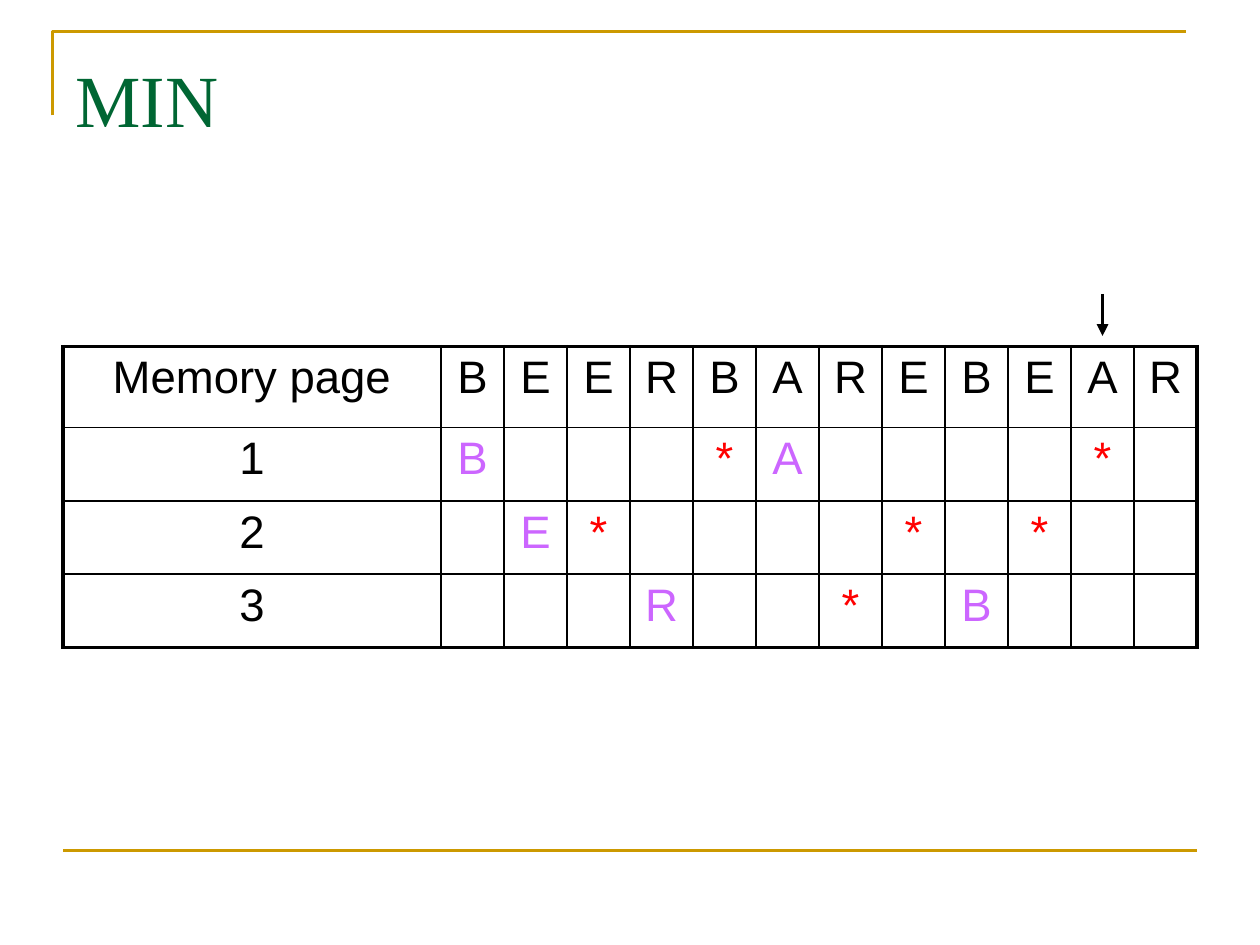
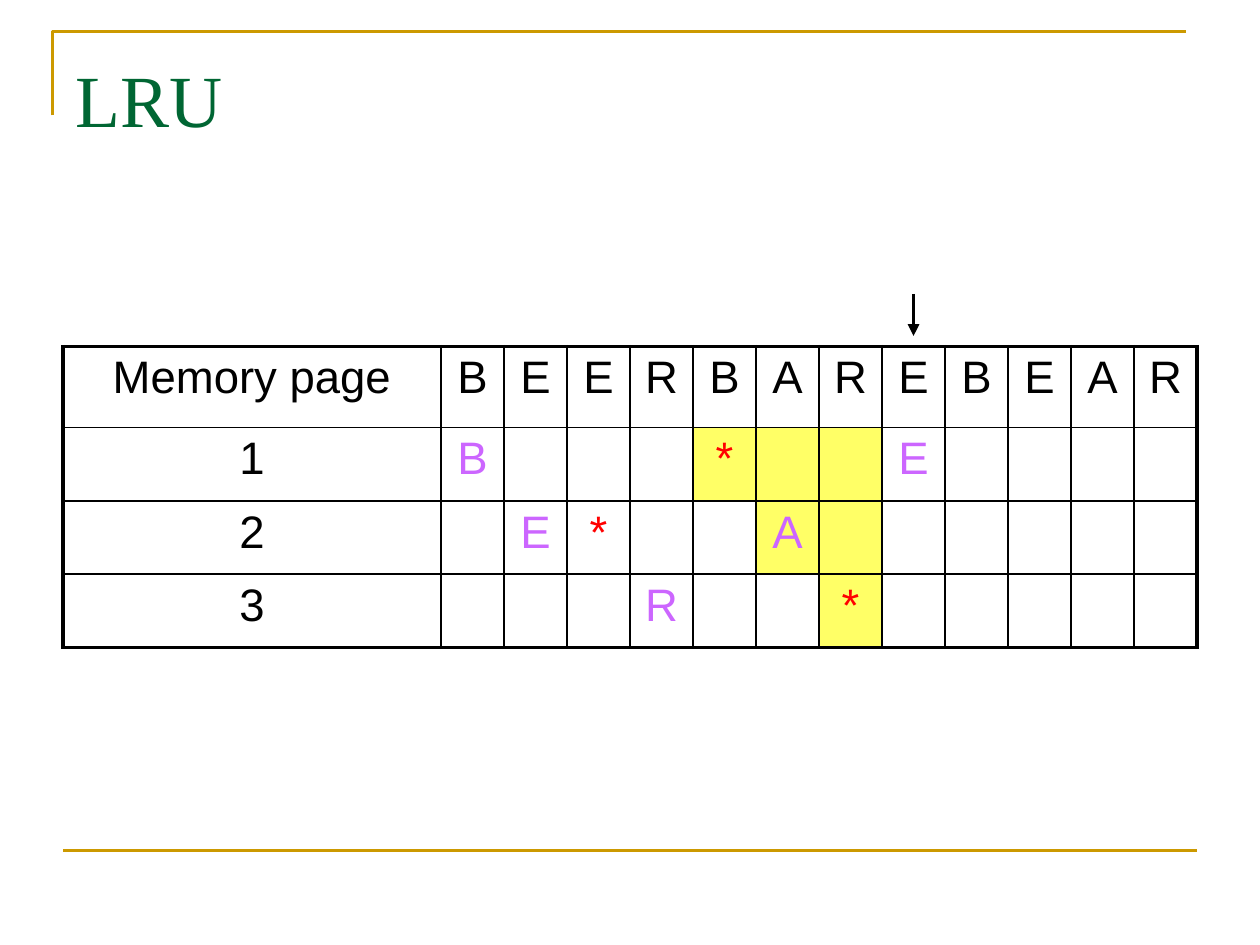
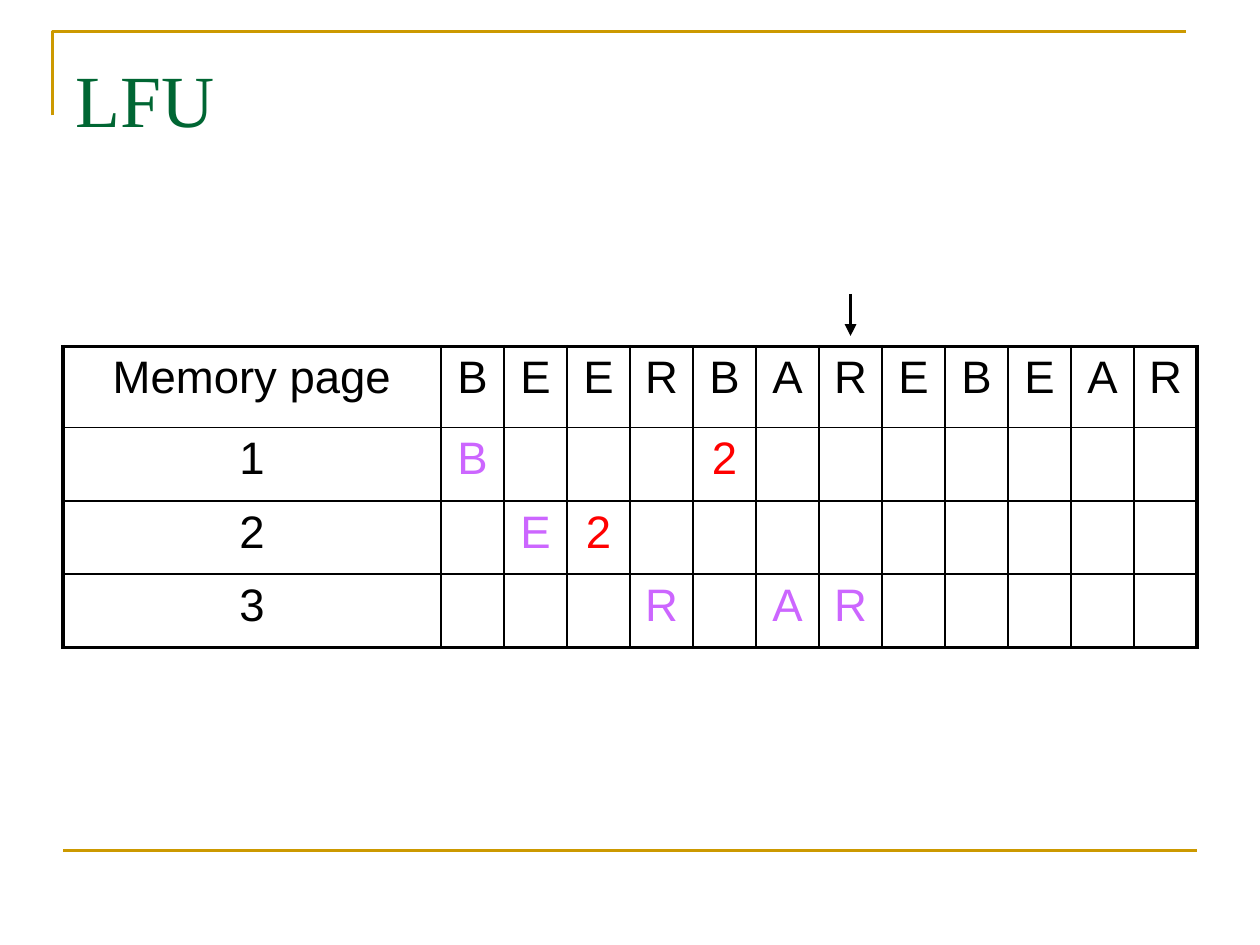
from dataclasses import dataclass
from itertools import product

from lxml.etree import SubElement
from pptx import Presentation
from pptx.dml.color import RGBColor
from pptx.enum.shapes import MSO_CONNECTOR
from pptx.enum.text import MSO_ANCHOR, MSO_AUTO_SIZE, PP_ALIGN
from pptx.oxml.ns import qn
from pptx.util import Pt

PX = 7620
SLIDE_SIZE = (1200, 900)
TITLE_BOX = (60, 36, 1080, 150)
TABLE_BOX = (60, 330, 1080, 287)
CORNER_BOX = (50, 30, 1080, 80)
FOOTER_RULE = (60, 810, 1140, 810)
LABEL_WIDTH, STEP_WIDTH = 360, 60
HEADER_HEIGHT, PAGE_HEIGHT = 77, 70
ARROW_LENGTH, ARROW_GAP = 40, 10
TITLE_ONLY_LAYOUT = 5
REFERENCES = "BEERBAREBEAR"


@dataclass(frozen=True)
class Theme:
    """Colours, fonts and sizes of the deck."""

    title_color: str = "006633"
    rule_color: str = "CC9900"
    ink: str = "000000"
    paper: str = "FFFFFF"
    loaded: str = "CC66FF"
    hit: str = "FF0000"
    highlight: str = "FFFF66"
    title_font: str = "Times New Roman"
    body_font: str = "Arial"
    title_size: float = 42
    body_size: float = 26
    rule_width: float = 1.5
    grid_width: float = 1
    frame_width: float = 2.25


@dataclass(frozen=True)
class Policy:
    """One replacement policy: page rows, current step and marked steps by page."""

    name: str
    pages: tuple
    step: int
    marked: dict


THEME = Theme()
POLICIES = (
    Policy("MIN", ("B   *A    * ", " E*    * *  ", "   R  * B   "), 11, {}),
    Policy("LRU", ("B   *  E    ", " E*  A      ", "   R  *     "), 8,
           {1: range(5, 8), 2: range(6, 8), 3: range(7, 8)}),
    Policy("LFU", ("B   2       ", " E2         ", "   R AR     "), 7, {}),
)


def emu(*lengths):
    """Turn px lengths into EMU."""
    return [length * PX for length in lengths]


def assign(target, values):
    """Set attributes from a dict of format values."""
    for name, value in values.items():
        setattr(target, name, value)


def format_font(font, name, size, color):
    """Give a font its face, size and colour."""
    assign(font, {"name": name, "size": Pt(size)})
    font.color.rgb = RGBColor.from_string(color)


def format_line(line, color, width):
    """Give a line its colour and width."""
    line.width = Pt(width)
    line.color.rgb = RGBColor.from_string(color)


def add_rule(slide, ends, color, width):
    """Add a straight line without shadow."""
    rule = slide.shapes.add_connector(MSO_CONNECTOR.STRAIGHT, *emu(*ends))
    format_line(rule.line, color, width)
    SubElement(rule.element.spPr, qn("a:effectLst"))
    return rule


def add_corner(slide, box):
    """Add the open corner line above the title."""
    left, top, width, height = box
    builder = slide.shapes.build_freeform(left, top + height, PX)
    builder.add_line_segments([(left, top), (left + width, top)], close=False)
    corner = builder.convert_to_shape()
    corner.shadow.inherit = False
    corner.fill.background()
    format_line(corner.line, THEME.rule_color, THEME.rule_width)
    return corner


def share_decoration(slide):
    """Move the corner and footer rule to the layout so every slide has them."""
    corner = add_corner(slide, CORNER_BOX)
    footer = add_rule(slide, FOOTER_RULE, THEME.rule_color, THEME.rule_width)
    for number, shape in enumerate((corner, footer), start=101):
        shape.element.xpath("./*/p:cNvPr")[0].set("id", str(number))
        slide.slide_layout.shapes.element.append(shape.element)


def place_title(slide, text, box):
    """Place and format the title placeholder."""
    title = slide.shapes.title
    assign(title, dict(zip(("left", "top", "width", "height"), emu(*box))))
    assign(title.text_frame, {
        "text": text, "word_wrap": True, "auto_size": MSO_AUTO_SIZE.NONE,
        "vertical_anchor": MSO_ANCHOR.TOP, "margin_top": 15 * PX})
    paragraph = title.text_frame.paragraphs[0]
    paragraph.alignment = PP_ALIGN.LEFT
    format_font(paragraph.runs[0].font, THEME.title_font, THEME.title_size, THEME.title_color)


def add_borders(cell, outer_sides):
    """Draw the cell borders, heavier on the outer sides of the table."""
    properties = cell._tc.get_or_add_tcPr()
    for side in "LRTB":
        width = THEME.frame_width if side in outer_sides else THEME.grid_width
        border = SubElement(properties, qn(f"a:ln{side}"), w=str(Pt(width)))
        fill = SubElement(border, qn("a:solidFill"))
        SubElement(fill, qn("a:srgbClr"), val=THEME.ink)


def fill_cell(cell, text, color, background):
    """Write one centred entry on its background."""
    cell.fill.solid()
    cell.fill.fore_color.rgb = RGBColor.from_string(background)
    paragraph = cell.text_frame.paragraphs[0]
    paragraph.alignment = PP_ALIGN.CENTER
    if text:
        paragraph.text = text
    format_font(paragraph.font, THEME.body_font, THEME.body_size, color)


def entry_color(row, column, text):
    """Choose ink for headings, one colour for loads and one for hits."""
    if row == 0 or column == 0:
        return THEME.ink
    return THEME.loaded if text.isalpha() else THEME.hit


def add_memory_table(slide, policy, box):
    """Add the table of memory pages against page references."""
    rows = [["Memory page", *REFERENCES]]
    rows += [[str(page), *entries] for page, entries in enumerate(policy.pages, start=1)]
    last_row, last_column = len(rows) - 1, len(REFERENCES)
    table = slide.shapes.add_table(last_row + 1, last_column + 1, *emu(*box)).table
    assign(table, {"first_row": False, "horz_banding": False})
    for index, column in enumerate(table.columns):
        column.width = (STEP_WIDTH if index else LABEL_WIDTH) * PX
    for index, row in enumerate(table.rows):
        row.height = (PAGE_HEIGHT if index else HEADER_HEIGHT) * PX
    for row, column in product(range(last_row + 1), range(last_column + 1)):
        cell, text = table.cell(row, column), rows[row][column].strip()
        edges = {"L": column == 0, "R": column == last_column, "T": row == 0, "B": row == last_row}
        add_borders(cell, [side for side, is_outer in edges.items() if is_outer])
        is_marked = column in policy.marked.get(row, ())
        fill_cell(cell, text, entry_color(row, column, text),
                  THEME.highlight if is_marked else THEME.paper)


def add_step_arrow(slide, step, box):
    """Point down at the current reference of the table."""
    left, top = box[:2]
    center = left + LABEL_WIDTH + step * STEP_WIDTH - STEP_WIDTH // 2
    tip = top - ARROW_GAP
    arrow = add_rule(slide, (center, tip - ARROW_LENGTH, center, tip), THEME.ink, THEME.frame_width)
    SubElement(arrow.line._get_or_add_ln(), qn("a:tailEnd"), type="triangle")


def add_policy_slide(presentation, policy):
    """Add one slide tracing a replacement policy."""
    slide = presentation.slides.add_slide(presentation.slide_layouts[TITLE_ONLY_LAYOUT])
    place_title(slide, policy.name, TITLE_BOX)
    add_memory_table(slide, policy, TABLE_BOX)
    add_step_arrow(slide, policy.step, TABLE_BOX)
    return slide


def main():
    """Build and save the deck."""
    presentation = Presentation()
    assign(presentation, dict(zip(("slide_width", "slide_height"), emu(*SLIDE_SIZE))))
    slides = [add_policy_slide(presentation, policy) for policy in POLICIES]
    share_decoration(slides[0])
    presentation.save("out.pptx")


if __name__ == "__main__":
    main()
